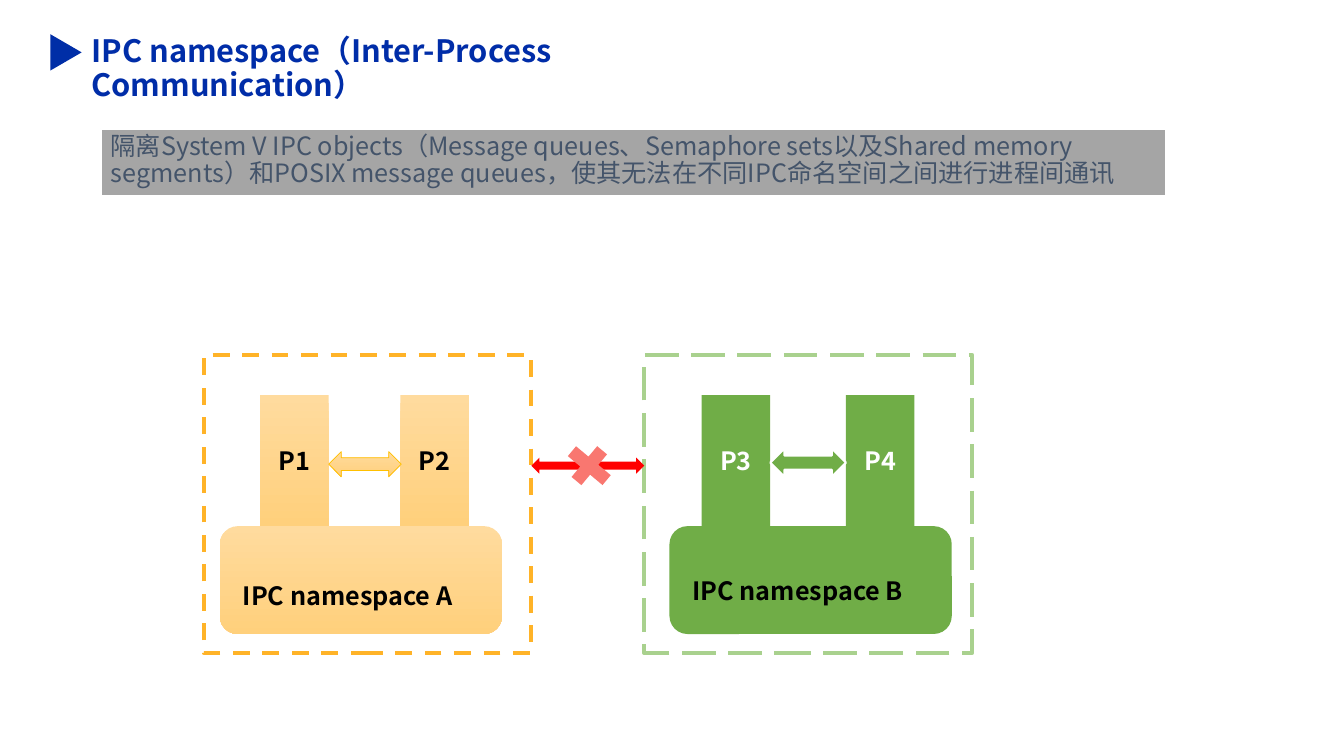
import pptx
import pptx.util
import pptx.dml.color
import pptx.enum.dml
import pptx.enum.shapes
import pptx.enum.text
import pptx.oxml
import pptx.oxml.ns
from lxml import etree

Inches = pptx.util.Inches
Pt = pptx.util.Pt
RGB = pptx.dml.color.RGBColor
Kind = pptx.enum.shapes.MSO_SHAPE
Dash = pptx.enum.dml.MSO_LINE
Align = pptx.enum.text.PP_ALIGN
Anchor = pptx.enum.text.MSO_ANCHOR
qn = pptx.oxml.ns.qn

FONT = "Noto Sans CJK SC"
BLUE = RGB(0x00, 0x2E, 0xA7)
NAVY = RGB(0x00, 0x2D, 0xA8)
GREY = RGB(0xA5, 0xA5, 0xA5)
SLATE = RGB(0x44, 0x54, 0x6A)
SAND = (RGB(0xFF, 0xDB, 0x9E), RGB(0xFF, 0xD0, 0x7C))
GOLD = RGB(0xFF, 0xC0, 0x00)
AMBER = RGB(0xFF, 0xB3, 0x28)
GREEN = RGB(0x70, 0xAD, 0x47)
LIME = RGB(0xA9, 0xD1, 0x8E)
RED = RGB(0xFF, 0x00, 0x00)
CORAL = RGB(0xF9, 0x77, 0x70)
BLACK = RGB(0, 0, 0)
WHITE = RGB(0xFF, 0xFF, 0xFF)

deck = pptx.Presentation()
deck.slide_width = Inches(13.33)
deck.slide_height = Inches(7.5)
slide = deck.slides.add_slide(deck.slide_layouts[6])


def draw(kind, box, fill=None, line=None, width=1.5):
    """Add a shape; a pair of colours as fill makes a downward gradient."""
    shape = slide.shapes.add_shape(kind, *map(Inches, box))
    shape.shadow.inherit = False
    if fill is None:
        shape.fill.background()
    elif fill is SAND:
        shape.fill.gradient()
        shape.fill.gradient_angle = 270
        for stop, place, tone in zip(shape.fill.gradient_stops, (0, 1), fill):
            stop.position = place
            stop.color.rgb = tone
    else:
        shape.fill.solid()
        shape.fill.fore_color.rgb = fill
    if line is None:
        shape.line.fill.background()
    else:
        shape.line.color.rgb = line
        shape.line.width = Pt(width)
    return shape


def write(shape, text, size, color, bold=True, align=Align.LEFT,
          anchor=Anchor.TOP, space=1.0):
    """Fill a shape or text box with one paragraph."""
    frame = shape.text_frame
    frame.word_wrap = True
    frame.vertical_anchor = anchor
    para = frame.paragraphs[0]
    para.text = text
    para.alignment = align
    para.line_spacing = space
    font = para.font
    font.size = Pt(size)
    font.bold = bold
    font.color.rgb = color
    font.name = FONT
    props = para._p.pPr.find(qn("a:defRPr"))
    etree.SubElement(props, qn("a:ea")).set("typeface", FONT)


# Title with its marker
mark = draw(Kind.RIGHT_ARROW, (0.5, 0.34, 0.31, 0.36), BLUE)
mark.adjustments[0] = 0.5
mark.adjustments[1] = 1
title = slide.shapes.add_textbox(*map(Inches, (0.81, 0.31, 7.53, 0.42)))
write(title, "IPC namespace（Inter-Process Communication）", 22, NAVY, space=0.9)

# Summary band
band = draw(Kind.RECTANGLE, (1, 1.28, 10.57, 0.67), GREY, WHITE)
write(band, "隔离System V IPC objects（Message queues、Semaphore sets以及"
      "Shared memory segments）和POSIX message queues，"
      "使其无法在不同IPC命名空间之间进行进程间通讯",
      18, SLATE, bold=False, space=0.9)

# Namespaces: base, label, processes, inner arrow, dashed frame
spaces = [
    ("A", SAND, BLACK, 2.18, (2.31, 5.71), (("P1", 2.58), ("P2", 3.97)),
     (3.26, 4.48, 0.72, 0.25), GOLD, 0.5, 2.02, AMBER, Dash.DASH),
    ("B", GREEN, WHITE, 6.64, (6.77, 5.66), (("P3", 6.96), ("P4", 8.39)),
     (7.64, 4.45, 0.75, 0.28), WHITE, 1.5, 6.39, LIME, Dash.LONG_DASH),
]
for (name, fill, ink, base, spot, procs,
     arrow, edge, width, left, rim, dash) in spaces:
    draw(Kind.ROUNDED_RECTANGLE, (base, 5.22, 2.8, 1.07), fill)
    label = slide.shapes.add_textbox(*map(Inches, (*spot, 2.54, 0.4)))
    write(label, f"IPC namespace {name}", 18, BLACK)
    for proc, x in procs:
        block = draw(Kind.RECTANGLE, (x, 3.92, 0.68, 1.3), fill)
        write(block, proc, 18, ink, align=Align.CENTER, anchor=Anchor.MIDDLE)
    draw(Kind.LEFT_RIGHT_ARROW, arrow, fill, edge, width)
    frame = draw(Kind.RECTANGLE, (left, 3.52, 3.25, 2.96), None, rim, 3)
    frame.line.dash_style = dash

# Blocked path between the namespaces
draw(Kind.LEFT_RIGHT_ARROW, (5.27, 4.54, 1.12, 0.16), RED)
cross = draw(Kind.MATH_PLUS, (5.54, 4.35, 0.61, 0.54), CORAL)
cross.rotation = 39.8

deck.save("out.pptx")
